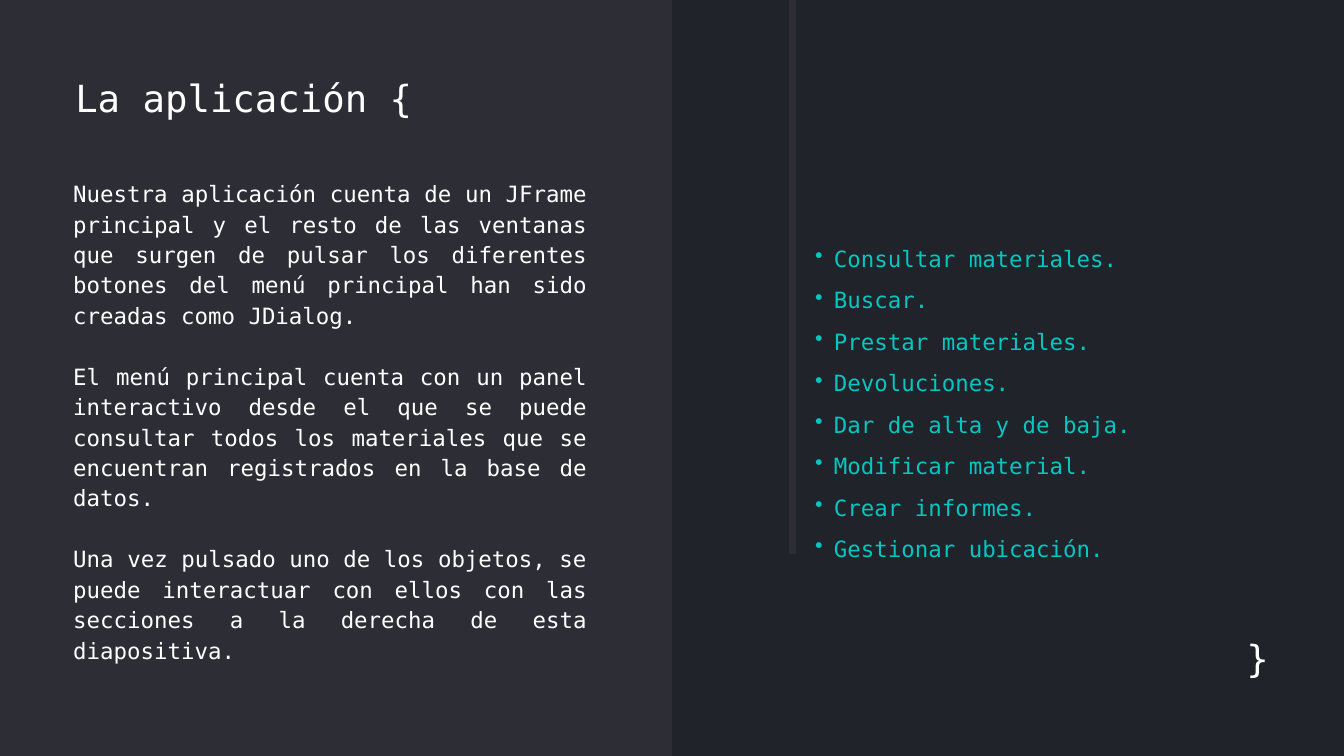
import lxml.etree
import pptx
import pptx.dml.color
import pptx.enum.shapes
import pptx.enum.text
import pptx.oxml.ns
import pptx.util

Inches = pptx.util.Inches
Pt = pptx.util.Pt
ALIGN = pptx.enum.text.PP_ALIGN

NIGHT = pptx.dml.color.RGBColor(0x20, 0x23, 0x2A)
SLATE = pptx.dml.color.RGBColor(0x2D, 0x2D, 0x35)
WHITE = pptx.dml.color.RGBColor(0xFF, 0xFF, 0xFF)
TEAL = pptx.dml.color.RGBColor(0x05, 0xC6, 0xC0)

DESCRIPTION = [
    "Nuestra aplicación cuenta de un JFrame principal y el resto de las ventanas que surgen "
    "de pulsar los diferentes botones del menú principal han sido creadas como JDialog.",
    "El menú principal cuenta con un panel interactivo desde el que se puede consultar todos "
    "los materiales que se encuentran registrados en la base de datos.",
    "Una vez pulsado uno de los objetos, se puede interactuar con ellos con las secciones a "
    "la derecha de esta diapositiva.",
]
SECTIONS = [
    "Consultar materiales.",
    "Buscar.",
    "Prestar materiales.",
    "Devoluciones.",
    "Dar de alta y de baja.",
    "Modificar material.",
    "Crear informes.",
    "Gestionar ubicación.",
]
HEADING = {"size": 40, "color": WHITE, "leading": 45.6}
BODY = {"size": 24, "color": WHITE, "leading": 32.6, "align": ALIGN.JUSTIFY, "gap": 32.6}
LIST = {"size": 24, "color": TEAL, "leading": 44.4, "bullet": "•"}


class CodeSlide:
    """Holds the monospaced style and the slide being filled."""

    FONT = "DejaVu Sans Mono"

    def __init__(self, deck):
        self.slide = deck.slides.add_slide(deck.slide_layouts[6])
        background = self.slide.background.fill
        background.solid()
        background.fore_color.rgb = NIGHT

    def panel(self, left, top, width, height):
        panel = self.slide.shapes.add_shape(
            pptx.enum.shapes.MSO_SHAPE.RECTANGLE,
            Inches(left), Inches(top), Inches(width), Inches(height))
        panel.shadow.inherit = False
        panel.fill.solid()
        panel.fill.fore_color.rgb = SLATE
        panel.line.fill.background()

    def rule(self, x, top, bottom):
        rule = self.slide.shapes.add_connector(
            pptx.enum.shapes.MSO_CONNECTOR.STRAIGHT,
            Inches(x), Inches(top), Inches(x), Inches(bottom))
        rule.line.color.rgb = SLATE
        rule.line.width = Pt(7.5)
        lxml.etree.SubElement(rule._element.spPr, pptx.oxml.ns.qn("a:effectLst"))

    def bullet(self, paragraph, mark):
        paragraph.level = 1
        properties = paragraph._p.get_or_add_pPr()
        properties.set("marL", str(Inches(0.57)))
        properties.set("indent", str(Inches(-0.28)))
        symbol = lxml.etree.SubElement(properties, pptx.oxml.ns.qn("a:buChar"))
        symbol.set("char", mark)

    def text(self, lines, left, top, width, height, size, color, leading,
             align=ALIGN.LEFT, gap=0, bullet=None):
        frame = self.slide.shapes.add_textbox(
            Inches(left), Inches(top), Inches(width), Inches(height)).text_frame
        frame_format = {
            "word_wrap": True,
            "auto_size": pptx.enum.text.MSO_AUTO_SIZE.SHAPE_TO_FIT_TEXT,
            "margin_left": 0, "margin_top": 0, "margin_right": 0, "margin_bottom": 0,
        }
        for name, value in frame_format.items():
            setattr(frame, name, value)
        for index, line in enumerate(lines):
            paragraph = frame.add_paragraph() if index else frame.paragraphs[0]
            if bullet:
                self.bullet(paragraph, bullet)
            paragraph.alignment = align
            paragraph.line_spacing = Pt(leading)
            if index and gap:
                paragraph.space_before = Pt(gap)
            run = paragraph.add_run()
            run.text = line
            for name, value in {"name": self.FONT, "size": Pt(size)}.items():
                setattr(run.font, name, value)
            run.font.color.rgb = color


def main():
    deck = pptx.Presentation()
    deck.slide_width = Inches(20)
    deck.slide_height = Inches(11.25)

    page = CodeSlide(deck)
    page.panel(0, 0, 10, 11.25)
    page.rule(11.79, 0, 8.25)
    page.text(["La aplicación {"], 1.12, 1.15, 7.69, 0.64, **HEADING)
    page.text(["}"], 18.11, 9.49, 0.77, 0.64, align=ALIGN.RIGHT, **HEADING)
    page.text(DESCRIPTION, 1.09, 2.63, 7.64, 7.17, **BODY)
    page.text(SECTIONS, 11.84, 3.43, 5.73, 4.88, **LIST)

    deck.save("out.pptx")


if __name__ == "__main__":
    main()
